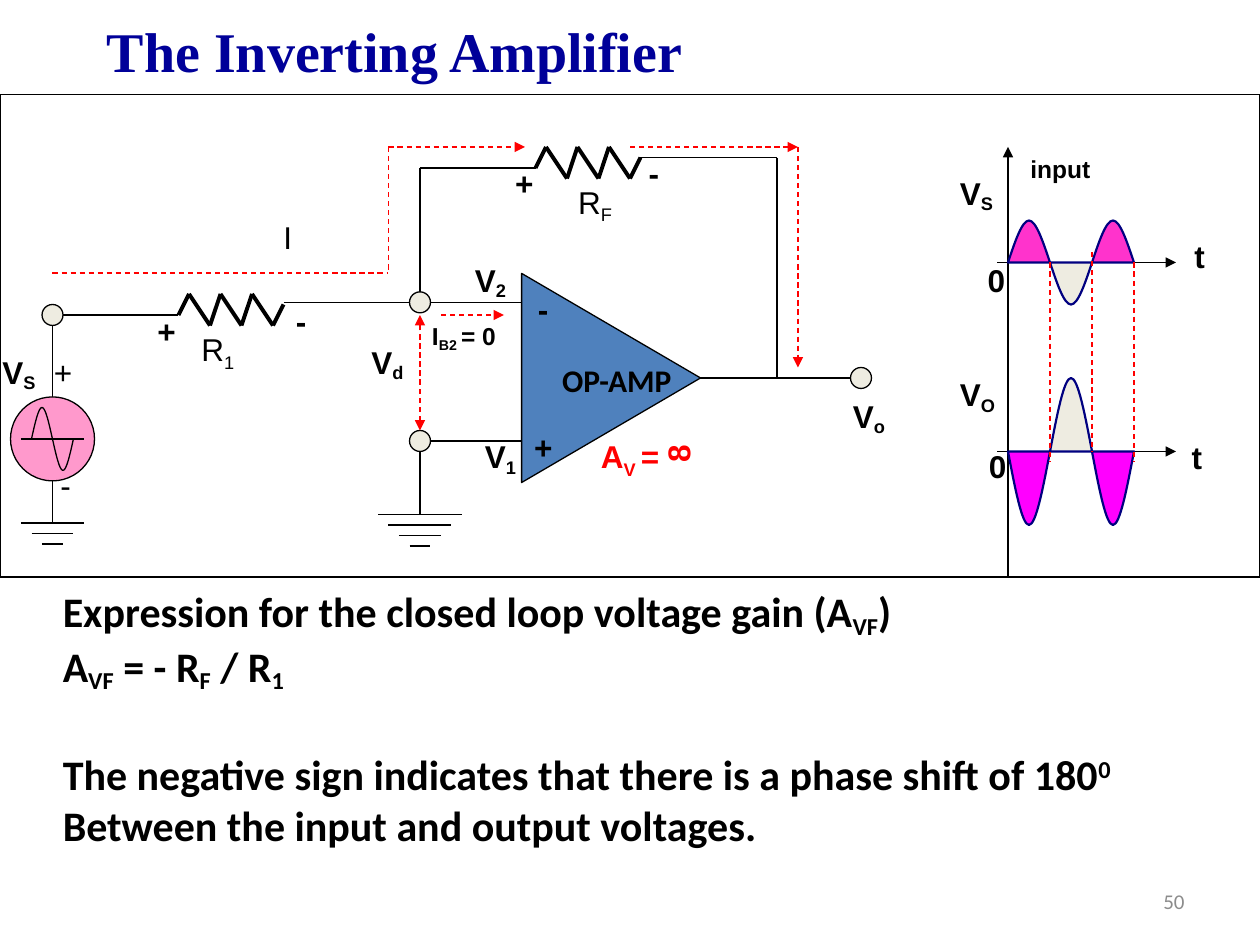
import pptx
import pptx.dml.color
import pptx.enum.dml
import pptx.enum.shapes
import pptx.enum.text
import pptx.oxml.ns
import pptx.util
from lxml import etree

Inches = pptx.util.Inches
Pt = pptx.util.Pt
SHAPE = pptx.enum.shapes.MSO_SHAPE
ALIGN = pptx.enum.text.PP_ALIGN
ANCHOR = pptx.enum.text.MSO_ANCHOR
rgb = pptx.dml.color.RGBColor.from_string
qn = pptx.oxml.ns.qn

COLORS = {
    "black": "000000", "red": "FF0000", "title": "000099", "number": "8C8C8C",
    "amplifier": "4F81BD", "node": "EEECE1", "source": "FF99CC",
    "input": "FF33CC", "output": "FF00FF", "wave": "000080",
}
GRID = Inches(1) / 12

deck = pptx.Presentation()
deck.slide_width, deck.slide_height = Inches(10), Inches(7.5)
slide = deck.slides.add_slide(deck.slide_layouts[6])
shapes = slide.shapes


def label(text, left, top, width, height=0.4, size=18, bold=True, color="black", font="Arial",
          align=ALIGN.LEFT, anchor=ANCHOR.TOP, wrap=False, indent=0, rotation=0, lowering=-18, gaps=()):
    box = shapes.add_textbox(Inches(left), Inches(top), Inches(width), Inches(height))
    box.rotation = rotation
    frame = box.text_frame
    frame.word_wrap = wrap
    frame.auto_size = pptx.enum.text.MSO_AUTO_SIZE.NONE if wrap else pptx.enum.text.MSO_AUTO_SIZE.SHAPE_TO_FIT_TEXT
    frame.vertical_anchor = anchor
    for row, line in enumerate(text.split("\n")):
        paragraph = frame.paragraphs[0] if row == 0 else frame.add_paragraph()
        paragraph.alignment = align
        if indent:
            paragraph._p.get_or_add_pPr().set("marL", str(Inches(indent)))
        if row in gaps:
            paragraph.space_before = Pt(31)
        for position, part in enumerate(line.split("~")):
            if not part:
                continue
            run = paragraph.add_run()
            run.text = part.lstrip("^")
            run.font.size, run.font.bold, run.font.name = Pt(size), bold, font
            run.font.color.rgb = rgb(COLORS[color])
            if position % 2:
                shift = 30 if part.startswith("^") else lowering
                run._r.get_or_add_rPr().set("baseline", str(shift * 1000))


def wire(x1, y1, x2, y2, color="black", width=0.75, dashed=False, arrows=()):
    ends = [round(value * GRID) for value in (x1, y1, x2, y2)]
    line = shapes.add_connector(pptx.enum.shapes.MSO_CONNECTOR.STRAIGHT, *ends)
    line.line.color.rgb = rgb(COLORS[color])
    line.line.width = Pt(width)
    if dashed:
        line.line.dash_style = pptx.enum.dml.MSO_LINE.DASH
    for end in arrows:
        etree.SubElement(line.line._get_or_add_ln(), qn("a:" + end)).set("type", "triangle")
    etree.SubElement(line._element.spPr, qn("a:effectLst"))


label("The Inverting Amplifier", 0.08, 0.08, 9.33, 0.75, size=32, color="title",
      font="Times New Roman", wrap=True, indent=0.67)

panel = shapes.add_shape(SHAPE.RECTANGLE, Inches(0), Inches(0.75), Inches(10), Inches(3.83))
panel.fill.background()

for circuit_wire in [
    (27, 28.8, 49.7, 28.8), (40, 42, 50, 42), (66.7, 36, 81, 36), (74, 15, 74, 36),
    (40, 16, 40, 28), (61, 15, 74, 15), (40, 16, 51, 16),
    (40, 43, 40, 49), (6, 30, 17, 30), (5, 45.8, 5, 49.8), (5, 30, 5, 38),
]:
    wire(*circuit_wire)

zigzag = [(0, 2), (1, 0), (3, 3), (4, 0), (6, 3), (7, 0), (9, 3), (10, 1)]
for left, top in [(51, 14), (17, 28)]:
    for (x1, y1), (x2, y2) in zip(zigzag, zigzag[1:]):
        wire(left + x1, top + y1, left + x2, top + y2, width=2.25)

for center, top, bars in [(40, 49, 4), (5, 49.8, 3)]:
    for bar in range(bars):
        wire(center - bars + bar, top + bar, center + bars - bar, top + bar)

amplifier = shapes.add_shape(SHAPE.ISOSCELES_TRIANGLE, Inches(4.02), Inches(2.29), Inches(1.66), Inches(1.42))
amplifier.rotation = 90
amplifier.fill.solid()
amplifier.fill.fore_color.rgb = rgb(COLORS["amplifier"])
outlined = [panel, amplifier]

for left, top, diameter, color in [
    (1, 37.8, 8, "source"), (4, 29, 2, "node"), (39, 27.8, 2, "node"),
    (39, 41, 2, "node"), (81, 35, 2, "node"),
]:
    circle = shapes.add_shape(SHAPE.OVAL, *[round(value * GRID) for value in (left, top, diameter, diameter)])
    circle.fill.solid()
    circle.fill.fore_color.rgb = rgb(COLORS[color])
    outlined.append(circle)
for part in outlined:
    part.line.color.rgb = rgb(COLORS["black"])
    part.line.width = Pt(0.75)
    part.shadow.inherit = False

for current in [
    (5, 26, 37, 26, ()), (37, 14, 37, 26, ()),
    (37, 14, 50, 14, ("tailEnd",)), (60, 14, 76, 14, ("tailEnd",)),
    (76, 14, 76, 35, ("tailEnd",)), (42, 30, 48, 30, ("tailEnd",)),
    (40, 41, 40, 30, ("headEnd", "tailEnd")),
]:
    wire(*current[:4], color="red", dashed=True, arrows=current[4])

wire(2, 41.8, 8, 41.8)
for axis in [(95, 25, 112, 25), (96, 55, 96, 14), (95, 43, 112, 43)]:
    wire(*axis, arrows=("tailEnd",))

bend = [(0, 0), (1 / 6, 0.5), (1 / 3, 1), (0.5, 1), (2 / 3, 1), (5 / 6, 0.5), (1, 0)]
for left, baseline, width, rise, fill in [
    (3, 41.8, 2, 3, None), (5, 41.8, 2, -3, None),
    (96, 25, 4, 4, "input"), (100, 25, 4, -4, "node"), (104, 25, 4, 4, "input"),
    (96, 43, 4, -7, "output"), (100, 43, 4, 7, "node"), (104, 43, 4, -7, "output"),
]:
    controls = [(round((left + width * x) * GRID), round((baseline - rise * y) * GRID)) for x, y in bend]
    builder = shapes.build_freeform(*controls[0])
    builder.add_line_segments(controls[1:], close=fill is not None)
    half_wave = builder.convert_to_shape()
    segments = list(half_wave._element.iter(qn("a:lnTo")))
    for first in (0, 3):
        curve = etree.Element(qn("a:cubicBezTo"))
        segments[first].addprevious(curve)
        for segment in segments[first:first + 3]:
            curve.append(segment[0])
            segment.getparent().remove(segment)
    half_wave.shadow.inherit = False
    half_wave.line.color.rgb = rgb(COLORS["wave" if fill else "black"])
    half_wave.line.width = Pt(1.25 if fill else 0.75)
    if fill:
        half_wave.fill.solid()
        half_wave.fill.fore_color.rgb = rgb(COLORS[fill])
    else:
        half_wave.fill.background()

for x, top, bottom in [(100, 25, 44), (104, 24, 43), (108, 25, 44)]:
    wire(x, top, x, bottom, color="red", dashed=True)

for text, left, top, width in [
    ("-", 4.17, 2.25, 0.28), ("+", 4.14, 3.35, 0.35), ("+", 3.99, 1.25, 0.35), ("-", 5.05, 1.17, 0.28),
    ("-", 2.25, 2.35, 0.28), ("+", 1.15, 2.43, 0.35), ("V~S", -0.08, 2.75, 0.48),
    ("V~1", 3.75, 3.42, 0.46), ("V~2", 3.67, 2.02, 0.46), ("V~o", 6.67, 3.1, 0.47),
    ("V~d", 2.85, 2.67, 0.47), ("V~S", 7.52, 1.33, 0.48), ("V~O", 7.52, 2.93, 0.5),
    ("t", 9.36, 3.43, 0.28), ("t", 9.38, 1.83, 0.28), ("0", 7.74, 2.02, 0.34), ("0", 7.75, 3.5, 0.34),
]:
    label(text, left, top, width)

for text, left, top, width in [
    ("R~F", 4.49, 1.4, 0.51), ("R~1", 1.5, 2.57, 0.5), ("I", 2.15, 1.68, 0.28),
    ("+", 0.33, 2.75, 0.35), ("-", 0.38, 3.65, 0.28),
]:
    label(text, left, top, width, bold=False, lowering=-25)

label("OP-AMP", 4.36, 2.82, 1.07, font="Calibri", align=ALIGN.CENTER)
label("I~B2 ~= 0", 3.33, 2.5, 0.72, 0.33, size=14)
label("input", 8.08, 1.17, 0.7, 0.33, size=14)
label("A~V ~=", 4.67, 3.42, 0.78, color="red", lowering=-25)
label("8", 5.2, 3.39, 0.36, color="red", wrap=True, rotation=270)

label("Expression for the closed loop voltage gain (A~VF~)\n"
      "A~VF~ = - R~F~ / R~1\n"
      "The negative sign indicates that there is a phase shift of 180~^0\n"
      "Between the input and output voltages.",
      0.4, 4.6, 8.7, 1.99, size=24, font="Calibri", gaps=(2,))
label("50", 7.17, 6.95, 2.33, size=12, bold=False, color="number", font="Calibri",
      align=ALIGN.RIGHT, anchor=ANCHOR.MIDDLE, wrap=True)

deck.save("out.pptx")
